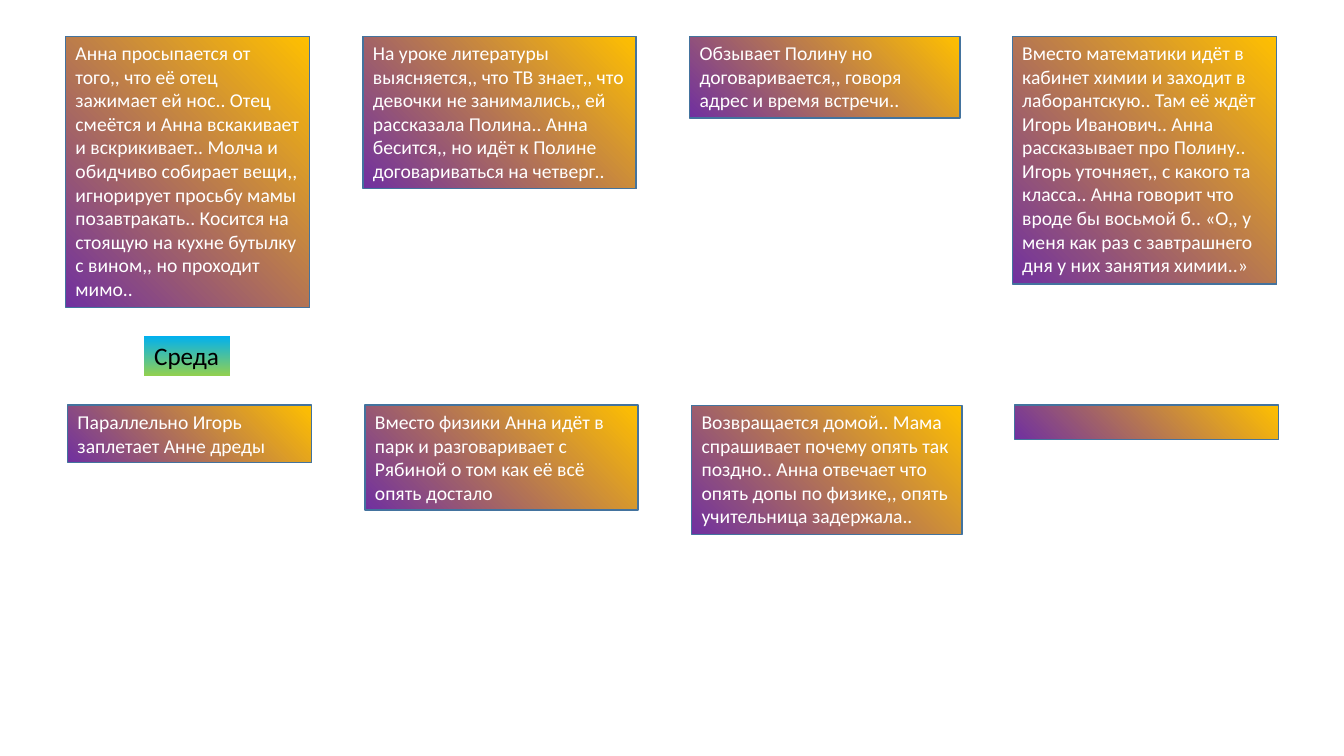
"""Build a storyboard slide: two rows of scene cards and a weekday label."""
import pptx
import pptx.dml.color
import pptx.enum.shapes
import pptx.enum.text
import pptx.oxml
import pptx.oxml.ns
import pptx.util

COLORS = {"amber": "FFC000", "violet": "7030A0", "border": "43739E",
          "green": "92D050", "sky": "00B0F0", "light": "FFFFFF", "dark": "000000"}
CORNER = ('<a:path path="circle"><a:fillToRect l="100000" b="100000"/></a:path>'
          '<a:tileRect t="-100000" r="-100000"/>')
UPWARD = '<a:lin ang="16200000" scaled="0"/>'
COLUMNS = [(0.65, 2.42), (3.6, 2.71), (6.84, 2.68), (10.04, 2.62)]
ROWS = [
    (0.36, 0, [
        (2.69, "Анна просыпается от того,, что её отец зажимает ей нос.. Отец смеётся и Анна "
               "вскакивает и вскрикивает.. Молча и обидчиво собирает вещи,, игнорирует просьбу "
               "мамы позавтракать.. Косится на стоящую на кухне бутылку с вином,, но проходит мимо.."),
        (1.51, "На уроке литературы выясняется,, что ТВ знает,, что девочки не занимались,, ей "
               "рассказала Полина.. Анна бесится,, но идёт к Полине договариваться на четверг.."),
        (0.81, "Обзывает Полину но договаривается,, говоря адрес и время встречи.."),
        (2.46, "Вместо математики идёт в кабинет химии и заходит в лаборантскую.. Там её ждёт "
               "Игорь Иванович.. Анна рассказывает про Полину.. Игорь уточняет,, с какого та "
               "класса.. Анна говорит что вроде бы восьмой б.. «О,, у меня как раз с завтрашнего "
               "дня у них занятия химии..»"),
    ]),
    (4.02, 0.02, [
        (0.57, "Параллельно Игорь заплетает Анне дреды"),
        (1.04, "Вместо физики Анна идёт в парк и разговаривает с Рябиной о том как её всё "
               "опять достало"),
        (1.28, "Возвращается домой.. Мама спрашивает почему опять так поздно.. Анна отвечает "
               "что опять допы по физике,, опять учительница задержала.."),
        (0.34, ""),
    ]),
]


def paint_gradient(box, first, last, direction):
    box.fill.gradient()
    old = box.element.spPr.find(pptx.oxml.ns.qn("a:gradFill"))
    stops = "".join(f'<a:gs pos="{place}"><a:srgbClr val="{COLORS[name]}"/></a:gs>'
                    for place, name in ((0, first), (100000, last)))
    new = pptx.oxml.parse_xml(
        f'<a:gradFill {pptx.oxml.ns.nsdecls("a")} rotWithShape="1">'
        f'<a:gsLst>{stops}</a:gsLst>{direction}</a:gradFill>')
    old.getparent().replace(old, new)


def add_box(page, place, text, size, color, wrap):
    box = page.shapes.add_shape(pptx.enum.shapes.MSO_SHAPE.RECTANGLE,
                                *(pptx.util.Inches(length) for length in place))
    box.shadow.inherit = False
    frame = box.text_frame
    frame.word_wrap = wrap
    frame.vertical_anchor = pptx.enum.text.MSO_ANCHOR.TOP
    para = frame.paragraphs[0]
    para.alignment = pptx.enum.text.PP_ALIGN.LEFT
    if text:
        frame.auto_size = pptx.enum.text.MSO_AUTO_SIZE.SHAPE_TO_FIT_TEXT
        span = para.add_run()
        span.text = text
        for name, value in {"name": "Calibri", "size": pptx.util.Pt(size)}.items():
            setattr(span.font, name, value)
        span.font.color.rgb = pptx.dml.color.RGBColor.from_string(COLORS[color])
    return box


deck = pptx.Presentation()
deck.slide_width = pptx.util.Inches(13.33)
deck.slide_height = pptx.util.Inches(7.5)
page = deck.slides.add_slide(deck.slide_layouts[6])

for top, shift, scenes in ROWS:
    for (left, width), (height, text) in zip(COLUMNS, scenes):
        card = add_box(page, (left + shift, top, width, height), text, 14, "light", True)
        paint_gradient(card, "amber", "violet", CORNER)
        card.line.color.rgb = pptx.dml.color.RGBColor.from_string(COLORS["border"])
        card.line.width = pptx.util.Pt(1)

weekday = add_box(page, (1.43, 3.33, 0.85, 0.4), "Среда", 18, "dark", False)
paint_gradient(weekday, "green", "sky", UPWARD)
weekday.line.fill.background()

deck.save("out.pptx")
